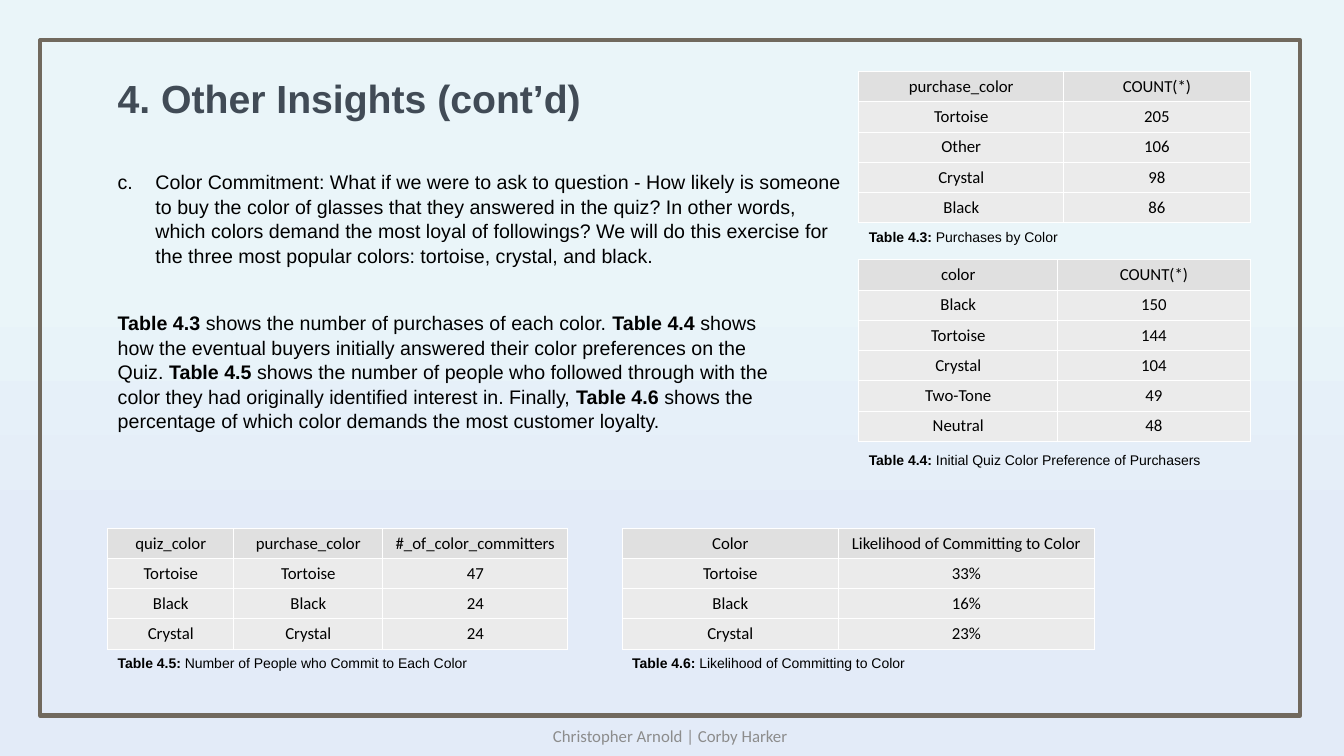
from lxml.etree import SubElement
from pptx import Presentation
from pptx.dml.color import RGBColor
from pptx.enum.shapes import MSO_SHAPE
from pptx.enum.text import MSO_ANCHOR, PP_ALIGN
from pptx.oxml import parse_xml
from pptx.oxml.ns import nsdecls, qn
from pptx.util import Pt

BLACK = RGBColor(0x00, 0x00, 0x00)
WHITE = RGBColor(0xFF, 0xFF, 0xFF)
SLATE = RGBColor(0x41, 0x4B, 0x56)
GREY = RGBColor(0x8C, 0x8C, 0x8C)
FRAME = RGBColor(0x71, 0x69, 0x5E)
HEADER = RGBColor(0xE0, 0xE0, 0xE0)
BODY = RGBColor(0xEB, 0xEB, 0xEB)
SKY = RGBColor(0xEA, 0xF5, 0xF9)
HAZE = RGBColor(0xE3, 0xEB, 0xF8)

LEFT, RIGHT, MIDDLE = 77, 613.5, 444.5
BOTTOM = 377.3
ROW_HEIGHT = 21.6


def add_runs(p, text, font="Arial", size=14, color=BLACK, bold=False):
    """Text between ** marks takes the opposite weight."""
    for i, part in enumerate(text.split("**")):
        if part:
            r = p.add_run()
            r.text = part
            r.font.name, r.font.size = font, Pt(size)
            r.font.color.rgb = color
            r.font.bold = bold != bool(i % 2)


def add_text(s, box, text, align=PP_ALIGN.LEFT, anchor=MSO_ANCHOR.TOP,
             spacing=None, **style):
    tf = s.shapes.add_textbox(*map(Pt, box)).text_frame
    tf.word_wrap = True
    tf.vertical_anchor = anchor
    p = tf.paragraphs[0]
    p.alignment = align
    p.line_spacing = spacing
    add_runs(p, text, **style)
    return p


def add_letter(p, start, indent):
    pPr = p._p.get_or_add_pPr()
    pPr.set("marL", str(Pt(indent)))
    pPr.set("indent", str(Pt(-indent)))
    SubElement(pPr, qn("a:buFont"), typeface="+mj-lt")
    SubElement(pPr, qn("a:buAutoNum"), type="alphaLcPeriod", startAt=str(start))


def set_borders(cell):
    tcPr = cell._tc.get_or_add_tcPr()
    for i, side in enumerate(("lnL", "lnR", "lnT", "lnB")):
        tcPr.insert(i, parse_xml(
            f'<a:{side} {nsdecls("a")} w="{Pt(0.75)}"><a:solidFill>'
            f'<a:srgbClr val="{WHITE}"/></a:solidFill></a:{side}>'))


def add_captioned_table(s, left, top, widths, rows, number, caption, gap=0.5):
    height = ROW_HEIGHT * len(rows)
    table = s.shapes.add_table(len(rows), len(widths), Pt(left), Pt(top),
                               Pt(sum(widths)), Pt(height)).table
    table.first_row = table.horz_banding = False
    for col, width in zip(table.columns, widths):
        col.width = Pt(width)
    for i, values in enumerate(rows):
        table.rows[i].height = Pt(ROW_HEIGHT)
        for j, value in enumerate(values):
            cell = table.cell(i, j)
            cell.margin_top = cell.margin_bottom = Pt(3)
            cell.vertical_anchor = MSO_ANCHOR.MIDDLE
            cell.fill.solid()
            cell.fill.fore_color.rgb = BODY if i else HEADER
            set_borders(cell)
            p = cell.text_frame.paragraphs[0]
            p.alignment = PP_ALIGN.CENTER
            add_runs(p, value, font="Calibri", size=12)
    add_text(s, (left, top + height + gap, 279.5, 19.4),
             f"**Table {number}: **{caption}", size=10)


def add_background(s):
    fill = s.background.fill
    fill.gradient()
    fill.gradient_angle = 270
    stops = fill._fill._gradFill.find(qn("a:gsLst"))
    for stop in list(stops):
        stops.remove(stop)
    for pos, color in ((0, SKY), (36, SKY), (72, HAZE), (100, HAZE)):
        stop = SubElement(stops, qn("a:gs"), pos=str(pos * 1000))
        SubElement(stop, qn("a:srgbClr"), val=str(color))


def add_frame(s, box):
    sp = s.shapes.add_shape(MSO_SHAPE.RECTANGLE, *map(Pt, box))
    sp.shadow.inherit = False
    sp.fill.background()
    sp.line.color.rgb = FRAME
    sp.line.width = Pt(3)


def add_narrative(s, left):
    add_text(s, (left, 49.7, 376.5, 41), "4. Other Insights (cont’d)",
             size=28, color=SLATE, bold=True)
    p = add_text(
        s, (left, 117.4, 532, 75),
        "Color Commitment: What if we were to ask to question - How likely is "
        "someone to buy the color of glasses that they answered in the quiz? In "
        "other words, which colors demand the most loyal of followings? We will "
        "do this exercise for the three most popular colors: tortoise, crystal, "
        "and black.", spacing=1.04)
    add_letter(p, start=3, indent=27)
    add_text(
        s, (left, 218.2, 480, 92),
        "**Table 4.3 **shows the number of purchases of each color. "
        "**Table 4.4 **shows how the eventual buyers initially answered their "
        "color preferences on the Quiz. **Table 4.5 **shows the number of people "
        "who followed through with the color they had originally identified "
        "interest in. Finally, **Table 4.6 **shows the percentage of which color "
        "demands the most customer loyalty.", spacing=1.04)


def add_tables(s):
    add_captioned_table(
        s, RIGHT, 51.2, (146.3, 133.2),
        [("purchase_color", "COUNT(*)"), ("Tortoise", "205"), ("Other", "106"),
         ("Crystal", "98"), ("Black", "86")],
        "4.3", "Purchases by Color")
    add_captioned_table(
        s, RIGHT, 185.6, (142, 137.5),
        [("color", "COUNT(*)"), ("Black", "150"), ("Tortoise", "144"),
         ("Crystal", "104"), ("Two-Tone", "49"), ("Neutral", "48")],
        "4.4", "Initial Quiz Color Preference of Purchasers", gap=3.7)
    add_captioned_table(
        s, LEFT, BOTTOM, (90, 106.5, 132),
        [("quiz_color", "purchase_color", "#_of_color_committers"),
         ("Tortoise", "Tortoise", "47"), ("Black", "Black", "24"),
         ("Crystal", "Crystal", "24")],
        "4.5", "Number of People who Commit to Each Color")
    add_captioned_table(
        s, MIDDLE, BOTTOM, (154.3, 183),
        [("Color", "Likelihood of Committing to Color"), ("Tortoise", "33%"),
         ("Black", "16%"), ("Crystal", "23%")],
        "4.6", "Likelihood of Committing to Color")


def main():
    prs = Presentation()
    prs.slide_width, prs.slide_height = Pt(960), Pt(540)
    s = prs.slides.add_slide(prs.slide_layouts[6])
    add_background(s)
    add_frame(s, (28.8, 28.8, 900, 482.4))
    add_text(s, (316.8, 511.2, 324, 28.8), "Christopher Arnold | Corby Harker",
             align=PP_ALIGN.CENTER, anchor=MSO_ANCHOR.MIDDLE,
             font="Calibri", size=12, color=GREY)
    add_narrative(s, LEFT)
    add_tables(s)
    prs.save("out.pptx")


if __name__ == "__main__":
    main()
